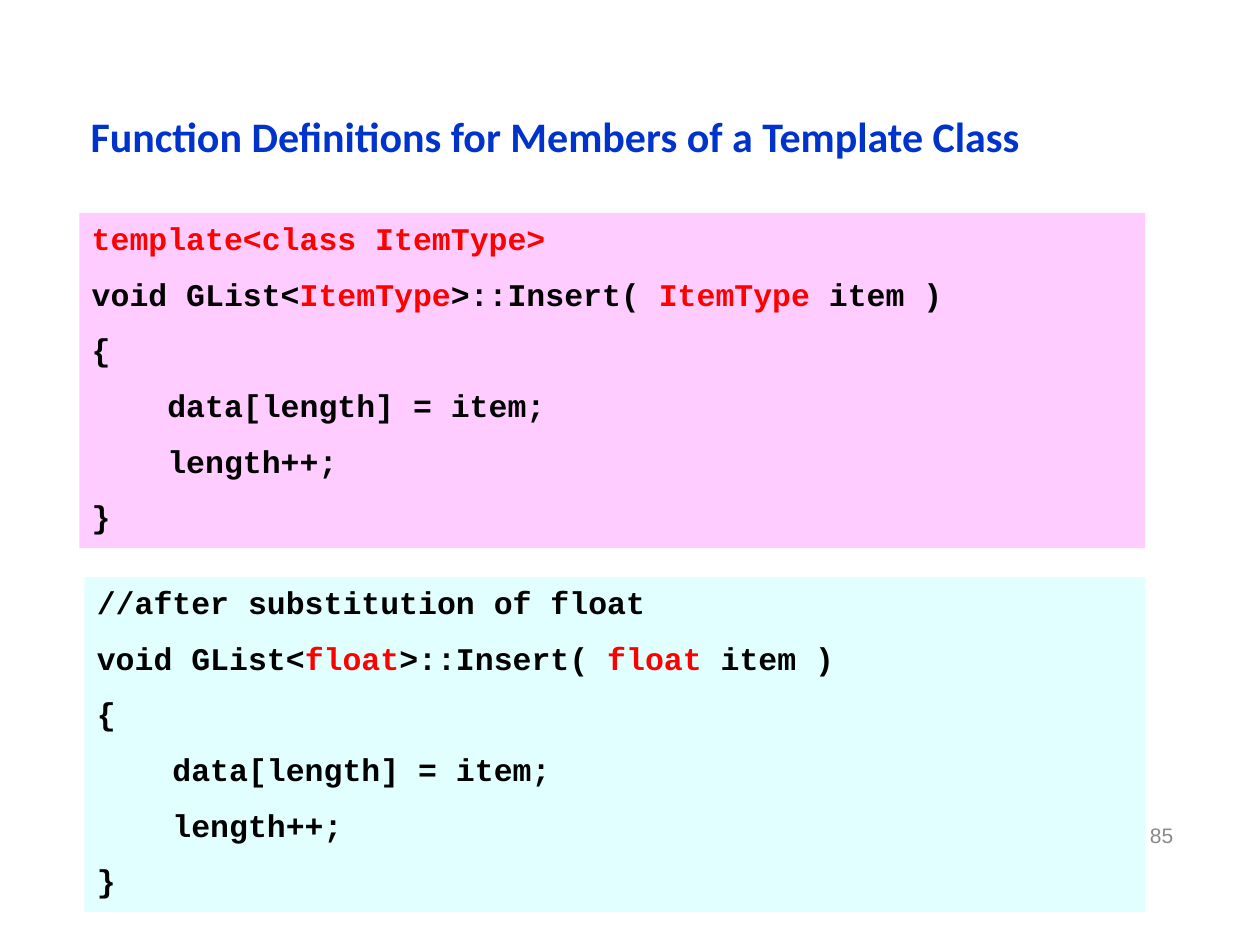
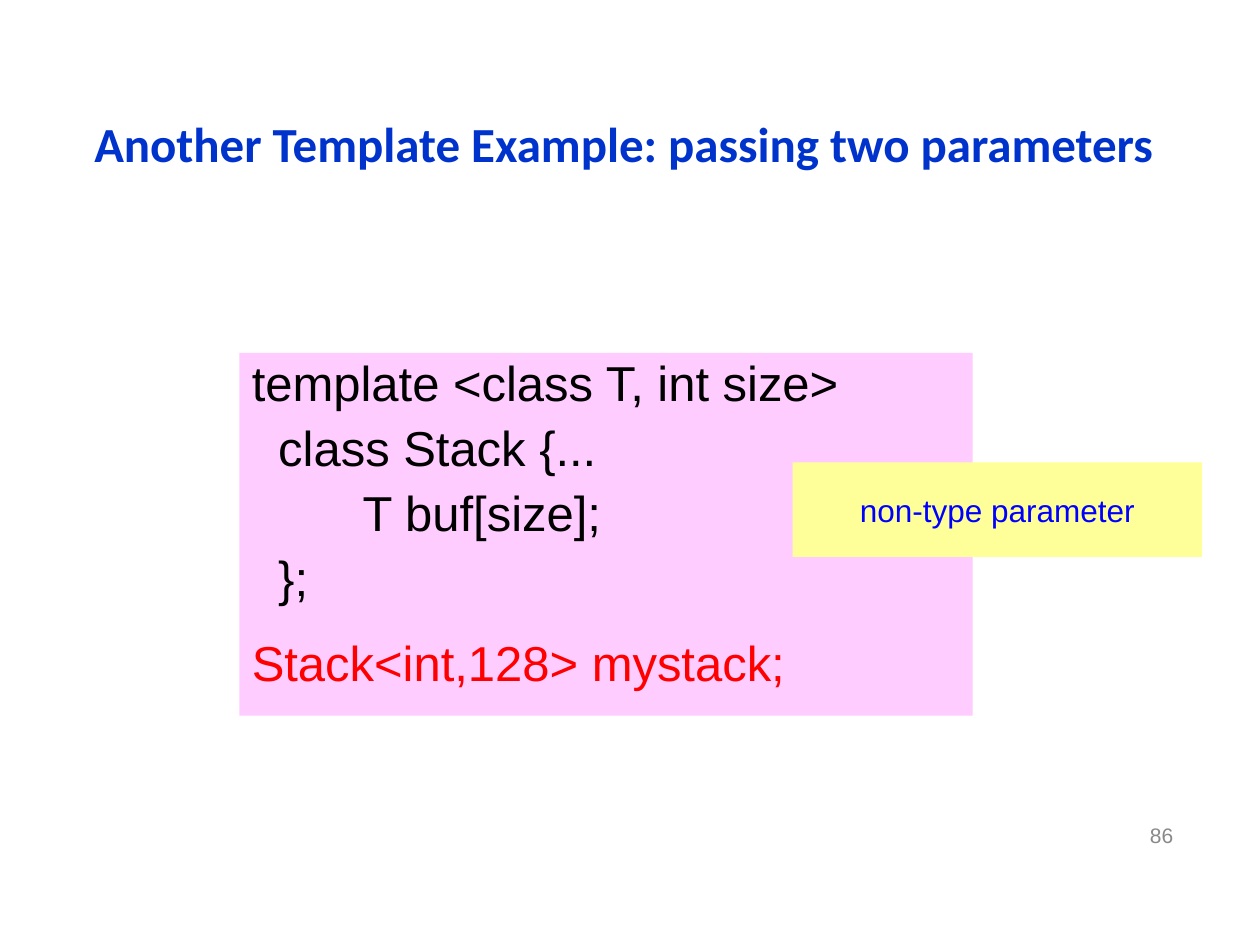
from pptx import Presentation
from pptx.dml.color import RGBColor
from pptx.enum import shapes, text
from pptx.util import Inches, Pt

COLORS = {
    "title": "0033CC", "number": "898989", "ink": "000000", "accent": "FF0000",
    "pink": "FFCCFF", "cyan": "E1FFFF", "yellow": "FFFF99", "note": "0000FF",
}
ALIGN = text.PP_ALIGN
ANCHOR = text.MSO_ANCHOR


def rgb(name):
    """Return the named colour of the palette."""
    return RGBColor.from_string(COLORS[name])


class Deck:
    """Holds the shared style and the current slide."""

    def __init__(self):
        """Start an empty 4:3 presentation."""
        self.prs = Presentation()
        self.prs.slide_width, self.prs.slide_height = Inches(10), Inches(7.5)

    def slide(self, number):
        """Add a blank slide with its number."""
        self.s = self.prs.slides.add_slide(self.prs.slide_layouts[6])
        self.label((7.08, 6.43, 2.33, 0.4), str(number), 12, "number", align=ALIGN.RIGHT)

    def style(self, p, size, color, font="Arial", bold=False):
        """Set the font of a whole paragraph."""
        p.font.size, p.font.name, p.font.bold = Pt(size), font, bold
        p.font.color.rgb = rgb(color)

    def label(self, box, words, size, color, font="Arial", bold=False, align=ALIGN.LEFT):
        """Add one line of text, centred vertically."""
        sp = self.s.shapes.add_textbox(*map(Inches, box))
        tf = sp.text_frame
        tf.word_wrap, tf.vertical_anchor = True, ANCHOR.MIDDLE
        p = tf.paragraphs[0]
        p.text, p.alignment = words, align
        self.style(p, size, color, font, bold)

    def title(self, box, words, size):
        """Add the slide title."""
        self.label(box, words, size, "title", "Calibri", True)

    def panel(self, box, fill, anchor=ANCHOR.TOP):
        """Add a plain filled rectangle and return its text frame."""
        sp = self.s.shapes.add_shape(shapes.MSO_SHAPE.RECTANGLE, *map(Inches, box))
        sp.shadow.inherit = False
        sp.fill.solid()
        sp.fill.fore_color.rgb = rgb(fill)
        sp.line.fill.background()
        tf = sp.text_frame
        tf.word_wrap, tf.vertical_anchor = True, anchor
        return tf

    def code(self, box, fill, lines, size, font="Arial", bold=False,
             before=7, spacing=1.0, align=ALIGN.LEFT):
        """Add a code panel; lines are (indent, text), with *accented* parts."""
        tf = self.panel(box, fill)
        for i, (indent, line) in enumerate(lines):
            p = tf.paragraphs[0] if i == 0 else tf.add_paragraph()
            p.alignment, p.line_spacing, p.space_before = align, spacing, Pt(before)
            if indent:
                p._p.get_or_add_pPr().set("marL", str(Inches(indent)))
            self.style(p, size, "ink", font, bold)
            for j, part in enumerate(line.split("*")):
                if part:
                    r = p.add_run()
                    r.text = part
                    if j % 2:
                        r.font.color.rgb = rgb("accent")
        return tf

    def note(self, box, words):
        """Add a callout note."""
        tf = self.panel(box, "yellow", ANCHOR.MIDDLE)
        tf.word_wrap = False
        p = tf.paragraphs[0]
        p.text, p.alignment = words, ALIGN.CENTER
        self.style(p, 18, "note")


def insert_code(heading, item_type):
    """Return the lines of Insert for one item type."""
    return [(0, heading),
            (0, f"void GList<*{item_type}*>::Insert( *{item_type}* item )"),
            (0, "{"), (0.6, "data[length] = item;"), (0.6, "length++;"), (0, "}")]


deck = Deck()

deck.slide(85)
deck.title((0.62, 0.67, 8.58, 0.82), "Function Definitions for Members of a Template Class", 24)
for box, fill, heading, item_type in (
        ((0.63, 1.69, 8.46, 2.66), "pink", "*template<class ItemType>*", "ItemType"),
        ((0.67, 4.58, 8.42, 2.66), "cyan", "//after substitution of float", "float")):
    deck.code(box, fill, insert_code(heading, item_type), 18, "Courier New", True,
              before=10.2, align=ALIGN.JUSTIFY)

deck.slide(86)
deck.title((0.65, 0.77, 8.77, 0.73), "Another Template Example: passing two parameters", 28)
tf = deck.code((1.9, 2.8, 5.82, 2.88), "pink", [
    (0, "template <class T, int size>"), (0.21, "class Stack {..."),
    (0.88, "T buf[size];"), (0.21, "};"), (0, "*Stack<int,128> mystack;*"),
], 28, spacing=0.9)
tf.paragraphs[-1].space_before = Pt(18)
deck.note((6.29, 3.67, 3.25, 0.75), "non-type parameter")

deck.prs.save("out.pptx")
